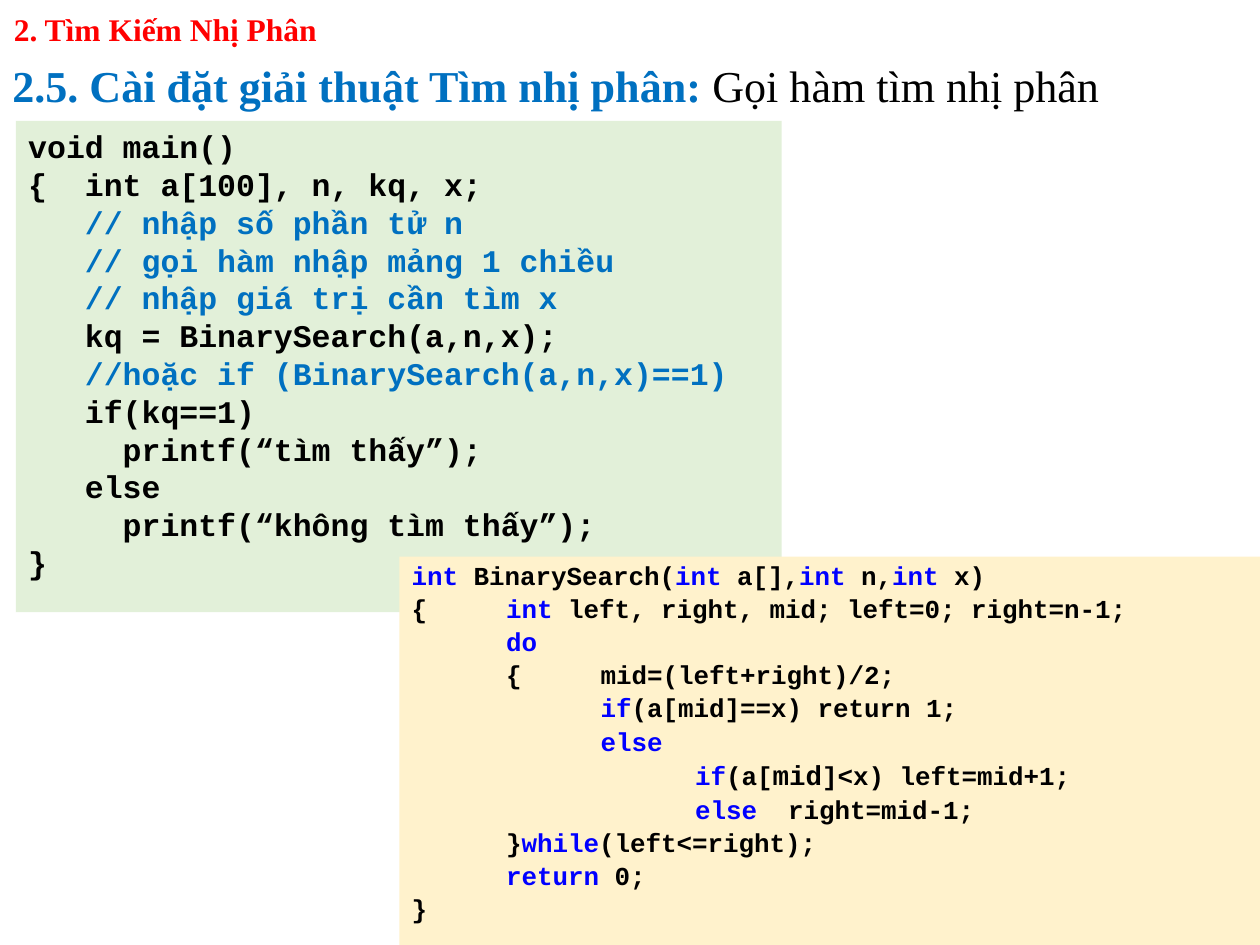
from pptx import Presentation
from pptx.dml.color import RGBColor
from pptx.enum.shapes import MSO_SHAPE as Preset
from pptx.enum.text import MSO_ANCHOR as Anchor, PP_ALIGN as Align
from pptx.oxml.ns import qn
from pptx.util import Cm, Pt
from lxml.etree import SubElement

COLORS = {
    "text": "000000",
    "blue": "0070C0",
    "heading": "FF0000",
    "keyword": "0000FF",
    "main_fill": "E2F0D9",
    "search_fill": "FFF2CC",
}
SERIF, MONO = "Times New Roman", "Courier New"
TAB_STEP = 1.905


def add_runs(line, pieces, font_name, size):
    for text, color, *changes in pieces:
        run = line.add_run()
        run.text = text
        run.font.color.rgb = RGBColor.from_string(COLORS[color])
        looks = {"name": font_name, "size": Pt(size), "bold": True}
        looks.update(*changes)
        for key, value in looks.items():
            setattr(run.font, key, value)


def fill_frame(shape, lines, font_name, size, anchor, line_format):
    frame = shape.text_frame
    frame.word_wrap = True
    frame.vertical_anchor = anchor
    for index, pieces in enumerate(lines):
        line = frame.add_paragraph() if index else frame.paragraphs[0]
        for key, value in line_format.items():
            setattr(line, key, value)
        if font_name == MONO:
            stops = SubElement(line._p.get_or_add_pPr(), qn("a:tabLst"))
            for level in range(1, 5):
                SubElement(stops, qn("a:tab"), pos=str(Cm(TAB_STEP * level)), algn="l")
        add_runs(line, pieces, font_name, size)


deck = Presentation()
deck.slide_width, deck.slide_height = Cm(25.4), Cm(19.05)
slide = deck.slides.add_slide(deck.slide_layouts[6])

heading_lines = [[("2. Tìm Kiếm Nhị Phân", "heading")]]
title_lines = [[
    ("2.5. Cài đặt giải thuật Tìm nhị phân: ", "blue"),
    ("Gọi hàm tìm nhị phân", "text", {"bold": False}),
]]
for place, lines, size, line_format in [
    ((0, 1.07, 25.4, 1.27), title_lines, 25.2, {}),
    ((0.03, 0, 23.6, 1.27), heading_lines, 18, {"line_spacing": 0.9}),
]:
    banner = slide.shapes.add_textbox(*map(Cm, place))
    fill_frame(banner, lines, SERIF, size, Anchor.MIDDLE, line_format)

main_code = [
    "void main()",
    "{  int a[100], n, kq, x;",
    "   // nhập số phần tử n",
    "   // gọi hàm nhập mảng 1 chiều",
    "   // nhập giá trị cần tìm x",
    "   kq = BinarySearch(a,n,x);",
    "   //hoặc if (BinarySearch(a,n,x)==1)",
    "   if(kq==1)",
    "\tprintf(“tìm thấy”);",
    "   else",
    "\tprintf(“không tìm thấy”);",
    "}",
]
main_lines = [[(code, "blue" if "//" in code else "text")] for code in main_code]

search_lines = [
    [("int", "keyword"), (" BinarySearch(", "text"), ("int", "keyword"), (" a[],", "text"),
     ("int ", "keyword"), ("n,", "text"), ("int", "keyword"), (" x)", "text")],
    [("{\t", "text"), ("int", "keyword"), (" left, right, mid; left=0; right=n-1;", "text")],
    [("\tdo", "keyword")],
    [("\t{ \tmid=(left+right)/2;", "text")],
    [("\t\tif", "keyword"), ("(a[mid]==x) return 1;", "text")],
    [("\t\telse", "keyword")],
    [("\t\t\tif", "keyword"), ("(a[", "text"), ("mid", "text", {"size": Pt(15.7)}),
     ("]<x) left=mid+1;", "text")],
    [("\t\t\telse", "keyword"), ("  right=mid-1;", "text")],
    [("\t}", "text"), ("while", "keyword"), ("(left<=right);", "text")],
    [("\treturn", "keyword"), (" 0;", "text")],
    [("}", "text")],
]

justified = {"alignment": Align.JUSTIFY}
compact = {**justified, "line_spacing": 0.9, "space_before": Pt(3)}
for place, fill, lines, size, line_format in [
    ((0.32, 2.44, 15.44, 9.9), "main_fill", main_lines, 18, justified),
    ((8.05, 11.22, 17.35, 7.83), "search_fill", search_lines, 14.8, compact),
]:
    panel = slide.shapes.add_shape(Preset.RECTANGLE, *map(Cm, place))
    panel.shadow.inherit = False
    panel.fill.solid()
    panel.fill.fore_color.rgb = RGBColor.from_string(COLORS[fill])
    panel.line.fill.background()
    fill_frame(panel, lines, MONO, size, Anchor.TOP, line_format)

deck.save("out.pptx")
